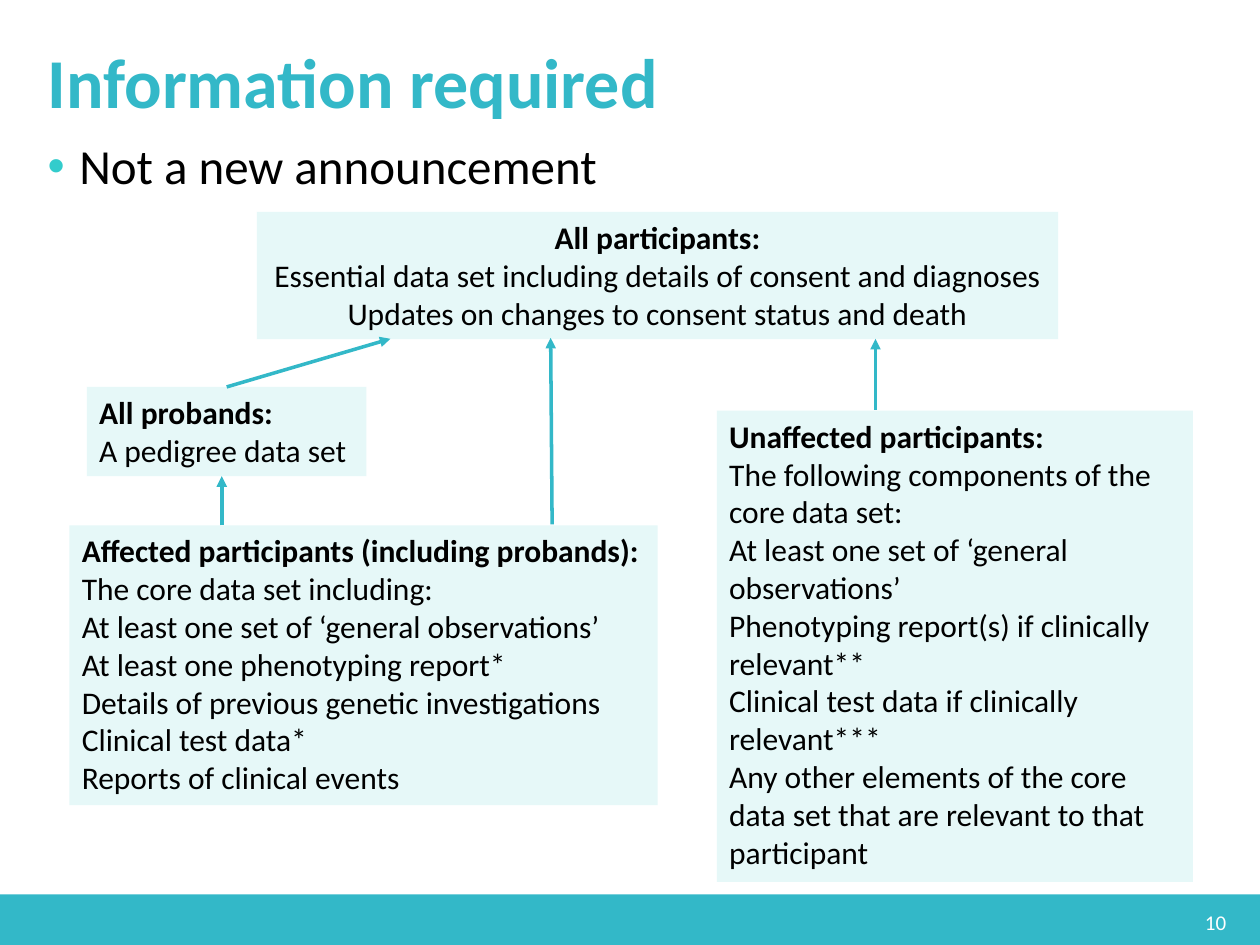
from lxml import etree
from pptx import Presentation
from pptx import util as u
from pptx.dml.color import RGBColor
from pptx.enum import shapes, text
from pptx.oxml.ns import qn

TEAL = RGBColor(0x33, 0xB8, 0xC8)
PALE = RGBColor(0xE6, 0xF8, 0xF8)
BLACK = RGBColor(0, 0, 0)
WHITE = RGBColor(255, 255, 255)
LEFT, CENTER, RIGHT = text.PP_ALIGN.LEFT, text.PP_ALIGN.CENTER, text.PP_ALIGN.RIGHT

prs = Presentation()
prs.slide_width, prs.slide_height = u.Cm(25.4), u.Cm(19.05)
s = prs.slides.add_slide(prs.slide_layouts[6])


def add_rect(place, color):
    sp = s.shapes.add_shape(shapes.MSO_SHAPE.RECTANGLE, *map(u.Cm, place))
    sp.shadow.inherit = False
    sp.fill.solid()
    sp.fill.fore_color.rgb = color
    sp.line.fill.background()
    return sp


def add_text(p, words, size, color, bold=False):
    r = p.add_run()
    r.text = words
    font = {"name": "Calibri", "size": u.Pt(size), "bold": bold}
    for key, value in font.items():
        setattr(r.font, key, value)
    r.font.color.rgb = color


# Footer bar
add_rect((0, 18.03, 25.4, 1.02), TEAL)

# Title, bullet line and page number
TOP, MIDDLE = text.MSO_ANCHOR.TOP, text.MSO_ANCHOR.MIDDLE
lines = [
    ((0.71, 0.84, 19.3, 2.44), "Information required", 40, TEAL, True, TOP,
     {"alignment": LEFT, "line_spacing": 0.9}),
    ((0.71, 2.74, 23.8, 13.49), "Not a new announcement", 28, BLACK, False, TOP,
     {"alignment": LEFT, "line_spacing": 0.9, "space_before": u.Pt(10)}),
    ((19.25, 18.08, 5.72, 1.02), "10", 12, WHITE, False, MIDDLE,
     {"alignment": RIGHT}),
]
for place, words, size, color, bold, anchor, layout in lines:
    tf = s.shapes.add_textbox(*map(u.Cm, place)).text_frame
    tf.word_wrap, tf.vertical_anchor = True, anchor
    p = tf.paragraphs[0]
    for key, value in layout.items():
        setattr(p, key, value)
    add_text(p, words, size, color, bold)
    if "space_before" in layout:
        pPr = p._p.get_or_add_pPr()
        pPr.set("marL", str(u.Cm(0.64)))
        pPr.set("indent", str(u.Cm(-0.64)))
        bullet_color = etree.SubElement(pPr, qn("a:buClr"))
        etree.SubElement(bullet_color, qn("a:srgbClr"), val="33CCCC")
        etree.SubElement(pPr, qn("a:buFont"), typeface="Arial")
        etree.SubElement(pPr, qn("a:buChar"), char="•")

# Participant groups: place, alignment, wrap, heading, data required
groups = [
    ((5.18, 4.27, 16.15, 2.57), CENTER, False, "All participants:", [
        "Essential data set including details of consent and diagnoses",
        "Updates on changes to consent status and death"]),
    ((1.75, 7.8, 5.64, 1.8), LEFT, True, "All probands:", [
        "A pedigree data set"]),
    ((1.4, 10.59, 11.86, 5.64), LEFT, False,
     "Affected participants (including probands):", [
         "The core data set including:",
         "At least one set of ‘general observations’",
         "At least one phenotyping report*",
         "Details of previous genetic investigations",
         "Clinical test data*",
         "Reports of clinical events"]),
    ((14.45, 8.28, 9.6, 9.5), LEFT, True, "Unaffected participants:", [
        "The following components of the core data set:",
        "At least one set of ‘general observations’",
        "Phenotyping report(s) if clinically relevant**",
        "Clinical test data if clinically relevant***",
        "Any other elements of the core data set that are relevant to that participant"]),
]
for place, align, wrap, heading, items in groups:
    tf = add_rect(place, PALE).text_frame
    tf.word_wrap, tf.vertical_anchor = wrap, TOP
    tf.auto_size = text.MSO_AUTO_SIZE.SHAPE_TO_FIT_TEXT
    p = tf.paragraphs[0]
    p.alignment = align
    add_text(p, heading, 18, BLACK, True)
    for item in items:
        p.add_line_break()
        add_text(p, item, 18, BLACK)

# Arrows up to the wider group
arrows = [
    (4.57, 7.8, 7.87, 6.83),
    (4.47, 10.59, 4.47, 9.6),
    (11.13, 10.57, 11.1, 6.81),
    (17.65, 8.26, 17.65, 6.83),
]
for ends in arrows:
    arrow = s.shapes.add_connector(shapes.MSO_CONNECTOR.STRAIGHT, *map(u.Cm, ends))
    arrow.line.color.rgb = TEAL
    arrow.line.width = u.Pt(2)
    etree.SubElement(arrow.line._get_or_add_ln(), qn("a:tailEnd"), type="triangle")
    etree.SubElement(arrow._element.spPr, qn("a:effectLst"))

prs.save("out.pptx")
